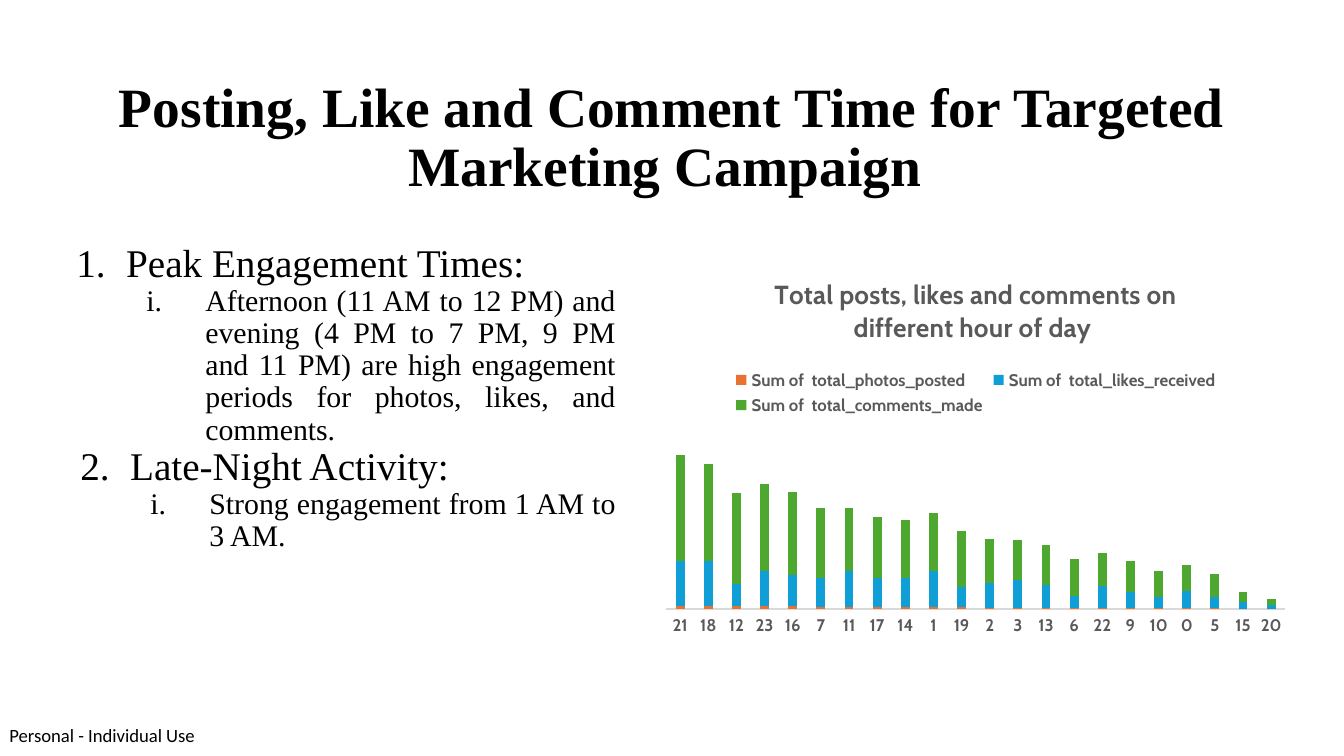
from lxml.etree import SubElement
from pptx import Presentation
from pptx.chart.data import CategoryChartData
from pptx.dml.color import RGBColor
from pptx.enum.chart import XL_CHART_TYPE, XL_LEGEND_POSITION, XL_TICK_LABEL_POSITION, XL_TICK_MARK
from pptx.enum.text import MSO_ANCHOR, PP_ALIGN
from pptx.oxml import parse_xml
from pptx.oxml.ns import nsdecls, qn
from pptx.util import Emu, Inches, Pt

WIDTH = Inches(10)
HEIGHT = WIDTH * 9 // 16
COLORS = {
    "text": "000000", "muted": "595959", "axis": "D9D9D9",
    "posts": "E97132", "likes": "0F9ED5", "comments": "4EA72E",
}
SERIF, SANS, FOOTER = "Times New Roman", "Cabin", "Calibri"

OUTLINE = [
    (0, 0.5, "Peak Engagement Times:", 1),
    (1, 1.09, "Afternoon (11 AM to 12 PM) and evening (4 PM to 7 PM, 9 PM and 11 PM) "
              "are high engagement periods for photos, likes, and comments.", 1),
    (0, 0.53, "Late-Night Activity:", 2),
    (1, 1.12, "Strong engagement from 1 AM to 3 AM.", 1),
]
LEVELS = [(21, -0.37, "arabicPeriod"), (16, -0.44, "romanLcPeriod")]

HOURS = [21, 18, 12, 23, 16, 7, 11, 17, 14, 1, 19, 2, 3, 13, 6, 22, 9, 10, 0, 5, 15, 20]
SERIES = [
    ("Sum of  total_photos_posted", "posts",
     [3, 3, 3, 3, 3, 2, 2, 2, 2, 2, 2, 1, 1, 1, 1, 1, 1, 1, 1, 1, 0, 0]),
    ("Sum of  total_likes_received", "likes",
     [42, 42, 21, 33, 29, 27, 34, 27, 27, 34, 19, 24, 26, 22, 11, 21, 15, 10, 16, 10, 7, 4]),
    ("Sum of  total_comments_made", "comments",
     [100, 91, 85, 82, 78, 66, 59, 58, 55, 54, 52, 41, 38, 37, 35, 31, 29, 25, 24, 22, 9, 5]),
]


def share(left, top, width, height):
    return (Emu(int(WIDTH * left)), Emu(int(HEIGHT * top)),
            Emu(int(WIDTH * width)), Emu(int(HEIGHT * height)))


def color(name):
    return RGBColor.from_string(COLORS[name])


def style_font(font, name, size, color_name="text", bold=False):
    font.name, font.size, font.bold = name, Pt(size), bold
    font.color.rgb = color(color_name)


def add_text_frame(slide, box, margin):
    frame = slide.shapes.add_textbox(*box).text_frame
    frame.word_wrap = True
    frame.vertical_anchor = MSO_ANCHOR.TOP
    frame.margin_left = frame.margin_right = Inches(margin)
    frame.margin_top = frame.margin_bottom = Inches(margin)
    return frame


def add_line_of_text(slide, box, text, font_name, size, margin=0, bold=False,
                     alignment=PP_ALIGN.LEFT, spacing=1.0):
    paragraph = add_text_frame(slide, box, margin).paragraphs[0]
    paragraph.text = text
    paragraph.alignment = alignment
    paragraph.line_spacing = spacing
    style_font(paragraph.font, font_name, size, bold=bold)


def add_outline(slide, box):
    frame = add_text_frame(slide, box, 0.1)
    for index, (level, indent, text, number) in enumerate(OUTLINE):
        size, hanging, numbering = LEVELS[level]
        paragraph = frame.add_paragraph() if index else frame.paragraphs[0]
        paragraph.text = text
        paragraph.level = level
        paragraph.alignment = PP_ALIGN.JUSTIFY
        paragraph.line_spacing = 0.9
        style_font(paragraph.font, SERIF, size)
        properties = paragraph._p.get_or_add_pPr()
        properties.set("marL", str(Inches(indent)))
        properties.set("indent", str(Inches(hanging)))
        bullet = parse_xml(f'<a:buAutoNum {nsdecls("a")} type="{numbering}" startAt="{number}"/>')
        properties.insert_element_before(bullet, "a:tabLst", "a:defRPr", "a:extLst")


def set_layout(element, position, shares, inner=False):
    for old in element.findall(qn("c:layout")):
        element.remove(old)
    layout = parse_xml(f'<c:layout {nsdecls("c")}><c:manualLayout/></c:layout>')
    manual = layout[0]
    values = [("layoutTarget", "inner")] if inner else []
    values += [("xMode", "edge"), ("yMode", "edge")] + list(zip("xywh", shares))
    for tag, value in values:
        SubElement(manual, qn(f"c:{tag}")).set("val", str(value))
    element.insert(position, layout)


def add_activity_chart(slide, box):
    data = CategoryChartData()
    data.categories = [str(hour) for hour in HOURS]
    for name, _, values in SERIES:
        data.add_series(name, values)
    chart = slide.shapes.add_chart(XL_CHART_TYPE.COLUMN_STACKED, *box, data).chart
    style_font(chart.font, SANS, 10)

    title = chart.chart_title.text_frame.paragraphs[0]
    title.text = "Total posts, likes and comments on different hour of day "
    style_font(title.font, SANS, 14, "muted", True)
    chart.chart_title.include_in_layout = False

    chart.has_legend = True
    chart.legend.position = XL_LEGEND_POSITION.TOP
    chart.legend.include_in_layout = False
    style_font(chart.legend.font, SANS, 9, "muted", True)

    plot = chart.plots[0]
    plot.gap_width, plot.overlap, plot.vary_by_categories = 219, 100, False
    for series, (_, color_name, _) in zip(plot.series, SERIES):
        series.format.fill.solid()
        series.format.fill.fore_color.rgb = color(color_name)

    hours = chart.category_axis
    hours.major_tick_mark = hours.minor_tick_mark = XL_TICK_MARK.NONE
    hours.tick_label_position = XL_TICK_LABEL_POSITION.NEXT_TO_AXIS
    style_font(hours.tick_labels.font, SANS, 9, "muted", True)
    hours.format.line.color.rgb = color("axis")
    hours.format.line.width = Pt(0.75)
    totals = chart.value_axis
    totals.has_major_gridlines = False
    totals.major_tick_mark = totals.minor_tick_mark = XL_TICK_MARK.NONE
    totals.minimum_scale, totals.maximum_scale = 0, 160
    totals.visible = False

    set_layout(chart._chartSpace.chart.plotArea, 0, (0.02, 0.47, 0.96, 0.44), inner=True)
    set_layout(chart.legend._element, 1, (0.12, 0.28, 0.76, 0.14))


def main():
    presentation = Presentation()
    presentation.slide_width, presentation.slide_height = WIDTH, HEIGHT
    slide = presentation.slides.add_slide(presentation.slide_layouts[6])
    add_line_of_text(slide, share(0.007, 0.958, 0.141, 0.03), "Personal - Individual Use", FOOTER, 10)
    add_line_of_text(slide, share(0.034, 0.087, 0.932, 0.112),
                     "Posting, Like and Comment Time for Targeted Marketing Campaign ",
                     SERIF, 29.7, 0.1, True, PP_ALIGN.CENTER, 0.9)
    add_outline(slide, share(0.034, 0.304, 0.434, 0.585))
    add_activity_chart(slide, share(0.486, 0.34, 0.48, 0.512))
    presentation.save("out.pptx")


if __name__ == "__main__":
    main()
